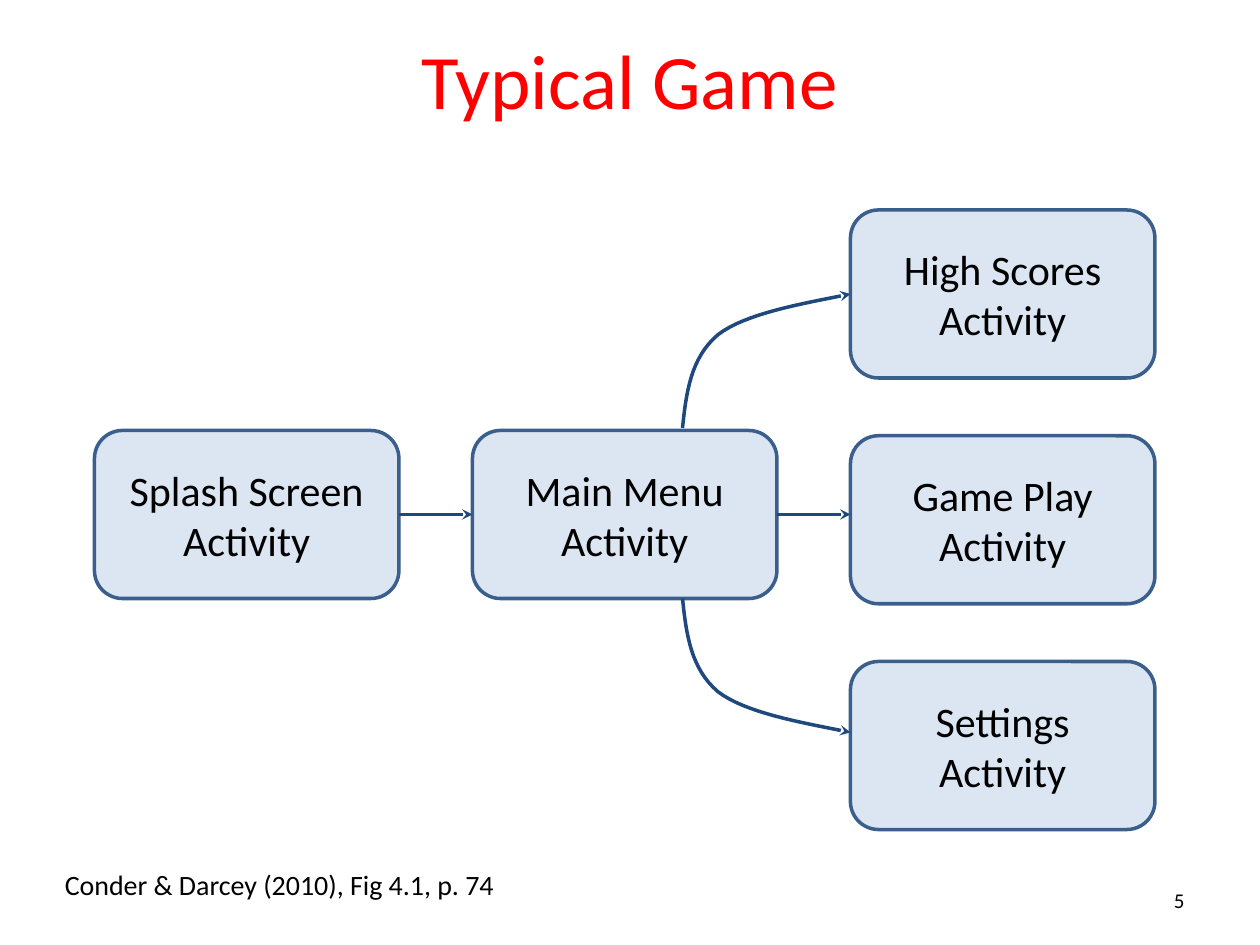
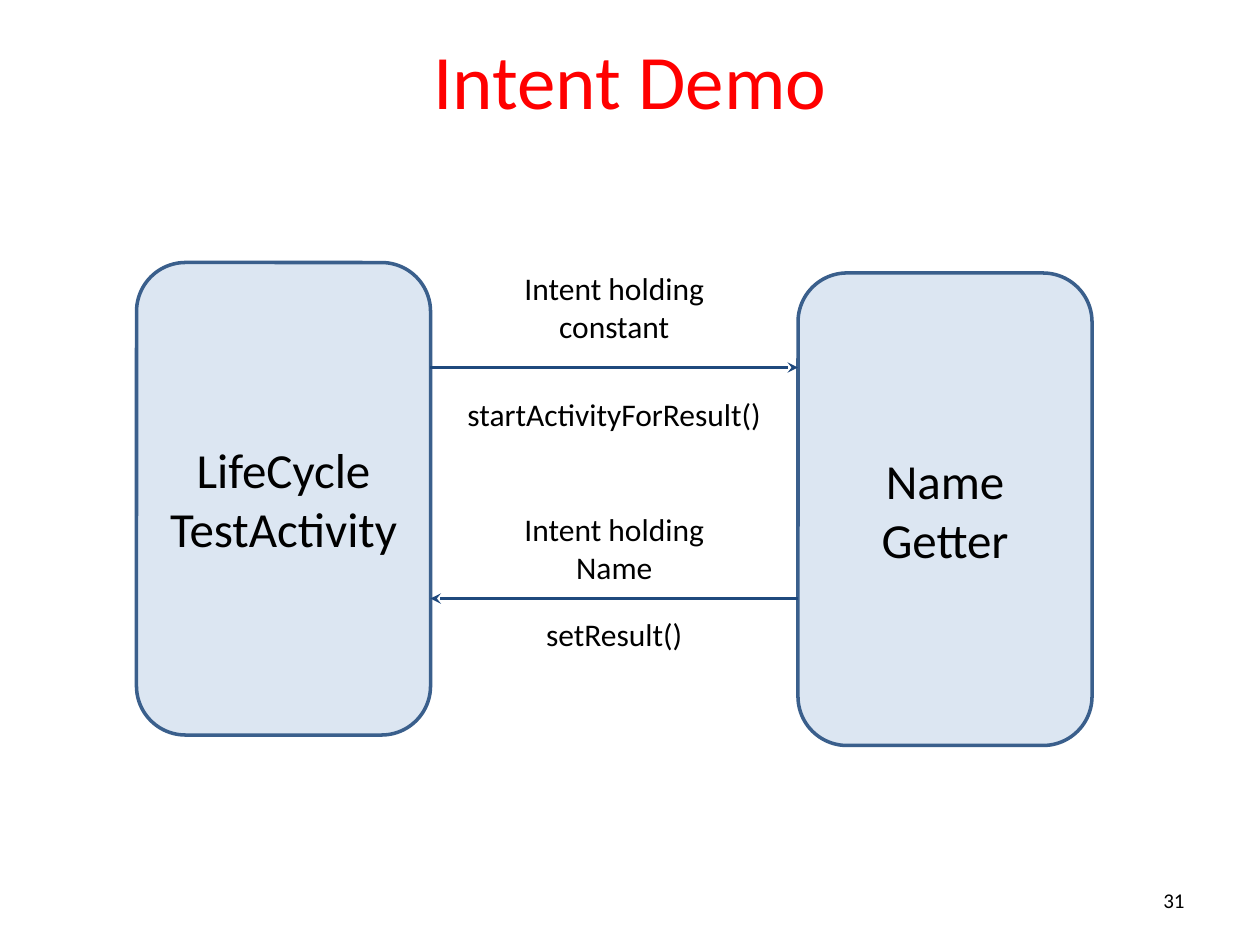
from typing import NamedTuple

import pptx
import pptx.dml.color
import pptx.enum.shapes
import pptx.enum.text
import pptx.oxml
import pptx.oxml.ns
import pptx.util

# Shared style
PX = 9525  # EMU per px, 96 px to the inch
FONT = "Calibri"
BLACK = "000000"
TITLE_RED = "FF0000"
BOX_FILL = "DCE6F2"
BOX_LINE = "3A5F8C"
ARROW_BLUE = "1F497D"
LINE_PT = 2
RIGHT, LEFT = 3, 1  # connection sites
ALIGN = pptx.enum.text.PP_ALIGN
ANCHOR = pptx.enum.text.MSO_ANCHOR


class Box(NamedTuple):
    """A rounded activity box; \\n starts a paragraph, \\v a line."""
    text: str
    x: int
    y: int
    w: int
    h: int
    size: int


class Label(NamedTuple):
    text: str
    x: int
    y: int
    w: int
    h: int
    size: int
    color: str = BLACK
    align: ALIGN = ALIGN.CENTER
    anchor: ANCHOR = ANCHOR.TOP


class Arrow(NamedTuple):
    x1: int
    y1: int
    x2: int
    y2: int


def px(n: float) -> int:
    return round(n * PX)


def rgb(color: str) -> pptx.dml.color.RGBColor:
    return pptx.dml.color.RGBColor.from_string(color)


def set_text(shape, text: str, size: int, color: str, align, anchor) -> None:
    tf = shape.text_frame
    tf.word_wrap = True
    tf.vertical_anchor = anchor
    tf.text = text
    for p in tf.paragraphs:
        p.alignment = align
        for r in p.runs:
            r.font.name = FONT
            r.font.size = pptx.util.Pt(size)
            r.font.color.rgb = rgb(color)


def set_line(shape, color: str) -> None:
    shape.line.color.rgb = rgb(color)
    shape.line.width = pptx.util.Pt(LINE_PT)


def add_label(s, label: Label):
    tb = s.shapes.add_textbox(px(label.x), px(label.y), px(label.w), px(label.h))
    set_text(tb, label.text, label.size, label.color, label.align, label.anchor)
    return tb


def add_box(s, box: Box):
    sp = s.shapes.add_shape(pptx.enum.shapes.MSO_SHAPE.ROUNDED_RECTANGLE,
                            px(box.x), px(box.y), px(box.w), px(box.h))
    sp.shadow.inherit = False
    sp.fill.solid()
    sp.fill.fore_color.rgb = rgb(BOX_FILL)
    set_line(sp, BOX_LINE)
    set_text(sp, box.text, box.size, BLACK, ALIGN.CENTER, ANCHOR.MIDDLE)
    return sp


def style_arrow(shape) -> None:
    set_line(shape, ARROW_BLUE)
    ln = shape._element.spPr.find(pptx.oxml.ns.qn("a:ln"))
    ln.append(pptx.oxml.parse_xml(
        f'<a:tailEnd {pptx.oxml.ns.nsdecls("a")} type="stealth"/>'))


def add_arrow(s, arrow: Arrow):
    cx = s.shapes.add_connector(pptx.enum.shapes.MSO_CONNECTOR.STRAIGHT,
                                *(px(n) for n in arrow))
    style_arrow(cx)
    cx._element.spPr.append(pptx.oxml.parse_xml(
        f'<a:effectLst {pptx.oxml.ns.nsdecls("a")}/>'))
    return cx


def bezier(points: list, steps: int = 16) -> list:
    """Points along a cubic curve, without its start."""
    curve = []
    for t in (i / steps for i in range(1, steps + 1)):
        weights = ((1 - t) ** 3, 3 * t * (1 - t) ** 2, 3 * t * t * (1 - t), t ** 3)
        curve.append(tuple(px(sum(w * p[axis] for w, p in zip(weights, points)))
                           for axis in (0, 1)))
    return curve


def add_branch(s, x: int, y: int, direction: int) -> None:
    """A curved arrow to the right, up (-1) or down (1)."""
    offsets = [(0, 0), (3, 27), (6, 53), (27, 71), (48, 87), (88, 94), (128, 102)]
    points = [(x + dx, y + direction * dy) for dx, dy in offsets]
    fb = s.shapes.build_freeform(px(x), px(y))
    fb.add_line_segments(bezier(points[:4]) + bezier(points[3:]), close=False)
    sp = fb.convert_to_shape()
    sp.shadow.inherit = False
    sp.fill.background()
    style_arrow(sp)


def add_slide(prs, title: str, number: int):
    s = prs.slides.add_slide(prs.slide_layouts[6])
    add_label(s, Label(title, 48, 0, 864, 120, 44, TITLE_RED, anchor=ANCHOR.MIDDLE))
    add_label(s, Label(str(number), 688, 667, 224, 38, 12,
                       align=ALIGN.RIGHT, anchor=ANCHOR.MIDDLE))
    return s


def typical_game(prs) -> None:
    s = add_slide(prs, "Typical Game", 5)
    w, h = 232, 128
    columns = [72 + 288 * i for i in range(3)]
    row = 328

    # Activities
    splash, menu = (add_box(s, Box(f"{name}\nActivity", x, row, w, h, 24))
                    for name, x in zip(("Splash Screen", "Main Menu"), columns))
    for i, name in enumerate(("High Scores", "Game Play", "Settings")):
        add_box(s, Box(f"{name}\nActivity", columns[2], 160 + 172 * i, w, h, 24))

    # Arrows
    middle = row + h // 2
    to_menu = add_arrow(s, Arrow(columns[0] + w, middle, columns[1], middle))
    to_menu.begin_connect(splash, RIGHT)
    to_menu.end_connect(menu, LEFT)
    to_play = add_arrow(s, Arrow(columns[1] + w, middle, columns[2], middle))
    to_play.begin_connect(menu, RIGHT)
    add_branch(s, 520, row - 2, -1)
    add_branch(s, 520, row + h, 1)

    # Citation
    add_label(s, Label("Conder & Darcey (2010), Fig 4.1, p. 74",
                       40, 656, 496, 36, 16, align=ALIGN.LEFT))


def intent_demo(prs) -> None:
    s = add_slide(prs, "Intent Demo", 31)

    # Activities
    w, h = 224, 360
    caller = Box("LifeCycle\vTestActivity", 104, 200, w, h, 28)
    getter = Box("Name\vGetter", 608, 208, w, h, 28)
    for box in (caller, getter):
        add_box(s, box)

    # Request and reply
    start, end = caller.x + w, getter.x
    add_arrow(s, Arrow(start, 280, end, 280))
    add_arrow(s, Arrow(end, 456, start, 456))
    for text, y in (("Intent holding constant", 200), ("Intent holding\nName", 384)):
        add_label(s, Label(text, 384, y, 168, 68, 18))
    for text, y in (("startActivityForResult()", 296), ("setResult()", 464)):
        add_label(s, Label(text, 344, y, 248, 38, 18))


def main() -> None:
    prs = pptx.Presentation()
    prs.slide_width, prs.slide_height = px(960), px(720)
    typical_game(prs)
    intent_demo(prs)
    prs.save("out.pptx")


if __name__ == "__main__":
    main()
